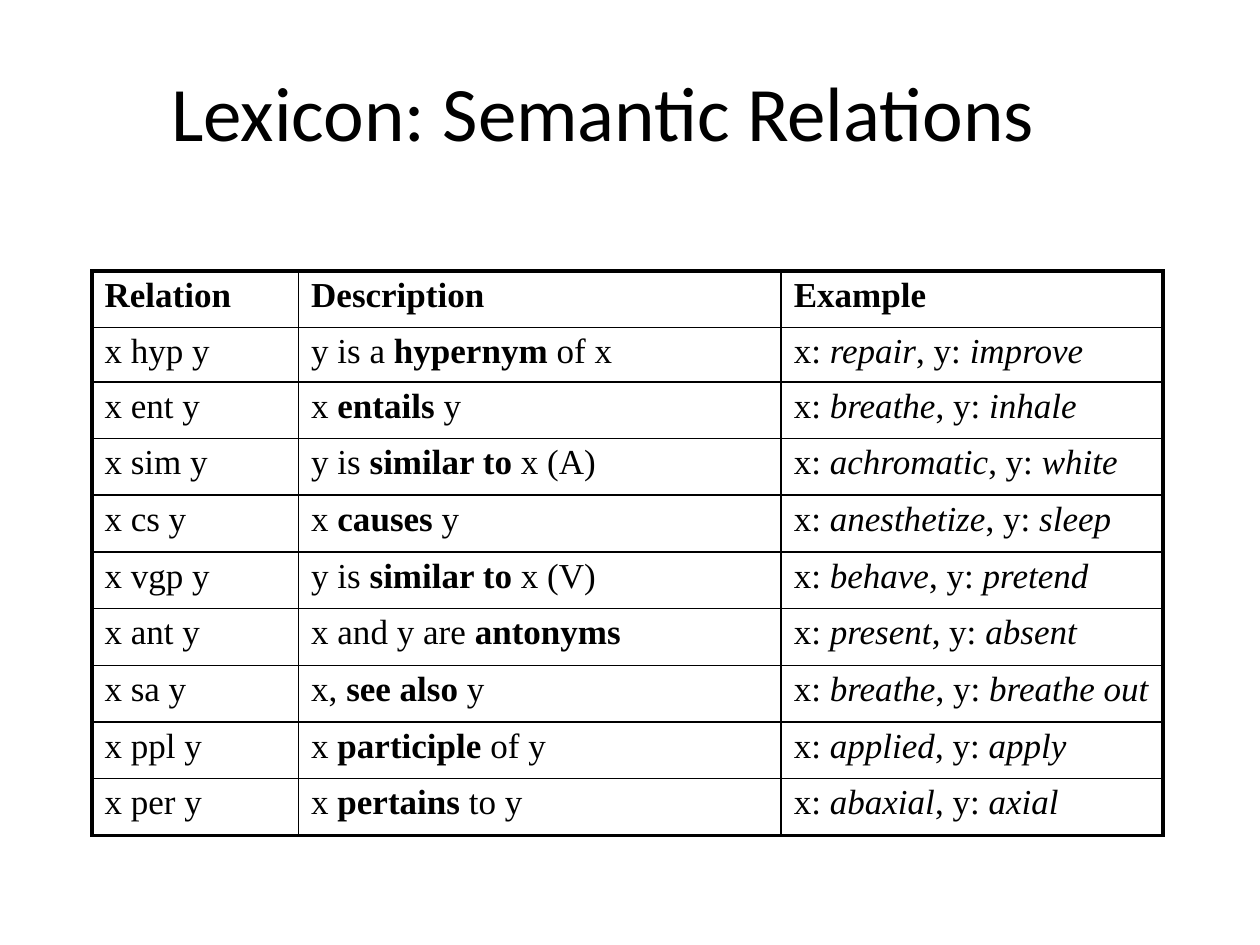
from typing import NamedTuple

from lxml import etree
from pptx import Presentation
from pptx.dml.color import RGBColor
from pptx.enum import text
from pptx.oxml import ns
from pptx.util import Inches, Pt

BLACK = RGBColor(0, 0, 0)
WHITE = RGBColor(255, 255, 255)
THIN, THICK = Pt(1), Pt(2.25)
COL_WIDTHS = (1.64, 3.83, 3.03)
ROW_HEIGHT = 0.45
FIRST_RELATION_HEIGHT = 0.43


class Relation(NamedTuple):
    code: str
    description: str
    x: str
    y: str

    def cells(self) -> tuple:
        return (f"x {self.code} y", self.description,
                f"x: *{self.x}*, y: *{self.y}*")


HEADINGS = ("*Relation*", "*Description*", "*Example*")
RELATIONS = (
    Relation("hyp", "y is a *hypernym* of x", "repair", "improve"),
    Relation("ent", "x *entails* y", "breathe", "inhale"),
    Relation("sim", "y is *similar to* x (A)", "achromatic", "white"),
    Relation("cs", "x *causes* y", "anesthetize", "sleep"),
    Relation("vgp", "y is *similar to* x (V)", "behave", "pretend"),
    Relation("ant", "x and y are *antonyms*", "present", "absent"),
    Relation("sa", "x, *see also* y", "breathe", "breathe out"),
    Relation("ppl", "x *participle* of y", "applied", "apply"),
    Relation("per", "x *pertains* to y", "abaxial", "axial"),
)


def write(tf, content: str, *, font: str, size: float, before: float = 0,
          indent: float = 0, marked_italic: bool = False) -> None:
    p = tf.paragraphs[0]
    p.alignment = text.PP_ALIGN.LEFT
    p.space_before = Pt(before)
    pPr = p._p.get_or_add_pPr()
    pPr.set("marL", str(Inches(indent)))
    pPr.set("indent", "0")
    for i, part in enumerate(content.split("*")):
        if not part:
            continue
        r = p.add_run()
        r.text = part
        r.font.name = font
        r.font.size = Pt(size)
        r.font.color.rgb = BLACK
        marked = i % 2 == 1
        r.font.bold = marked and not marked_italic
        r.font.italic = marked and marked_italic


def set_borders(cell, **widths: int) -> None:
    tcPr = cell._tc.get_or_add_tcPr()
    for i, (side, width) in enumerate(widths.items()):
        ln = etree.Element(ns.qn(f"a:ln{side}"), w=str(width))
        fill = etree.SubElement(ln, ns.qn("a:solidFill"))
        etree.SubElement(fill, ns.qn("a:srgbClr"), val=str(BLACK))
        tcPr.insert(i, ln)


def add_title(slide, content: str) -> None:
    sp = slide.shapes.title
    sp.left, sp.top = Inches(1.35), Inches(0.5)
    sp.width, sp.height = Inches(7.31), Inches(0.76)
    tf = sp.text_frame
    tf.margin_left = tf.margin_right = tf.margin_bottom = 0
    tf.margin_top = Inches(0.01)
    tf.vertical_anchor = text.MSO_ANCHOR.TOP
    tf.auto_size = text.MSO_AUTO_SIZE.SHAPE_TO_FIT_TEXT
    write(tf, content, font="Calibri", size=44, before=1.1, indent=0.01)


def add_relation_table(slide, rows: list) -> None:
    heights = [ROW_HEIGHT] * len(rows)
    heights[1] = FIRST_RELATION_HEIGHT
    table = slide.shapes.add_table(
        len(rows), len(COL_WIDTHS), Inches(0.73), Inches(2.15),
        Inches(sum(COL_WIDTHS)), Inches(sum(heights))).table
    table.first_row = table.horz_banding = False
    for col, width in zip(table.columns, COL_WIDTHS):
        col.width = Inches(width)
    for row, height in zip(table.rows, heights):
        row.height = Inches(height)
    last_row, last_col = len(rows) - 1, len(COL_WIDTHS) - 1
    for i, contents in enumerate(rows):
        for j, content in enumerate(contents):
            cell = table.cell(i, j)
            cell.margin_left = cell.margin_right = cell.margin_bottom = 0
            cell.margin_top = Inches(0.04)
            cell.fill.solid()
            cell.fill.fore_color.rgb = WHITE
            set_borders(cell,
                        L=THICK if j == 0 else THIN,
                        R=THICK if j == last_col else THIN,
                        T=THICK if i == 0 else THIN,
                        B=THICK if i == last_row else THIN)
            write(cell.text_frame, content, font="Times New Roman", size=20,
                  before=3, indent=0.1,
                  marked_italic=i > 0 and j == last_col)


prs = Presentation()
prs.slide_width, prs.slide_height = Inches(10), Inches(7.5)
slide = prs.slides.add_slide(prs.slide_layouts[5])
add_title(slide, "Lexicon: Semantic Relations")
add_relation_table(slide, [HEADINGS] + [rel.cells() for rel in RELATIONS])
prs.save("out.pptx")
